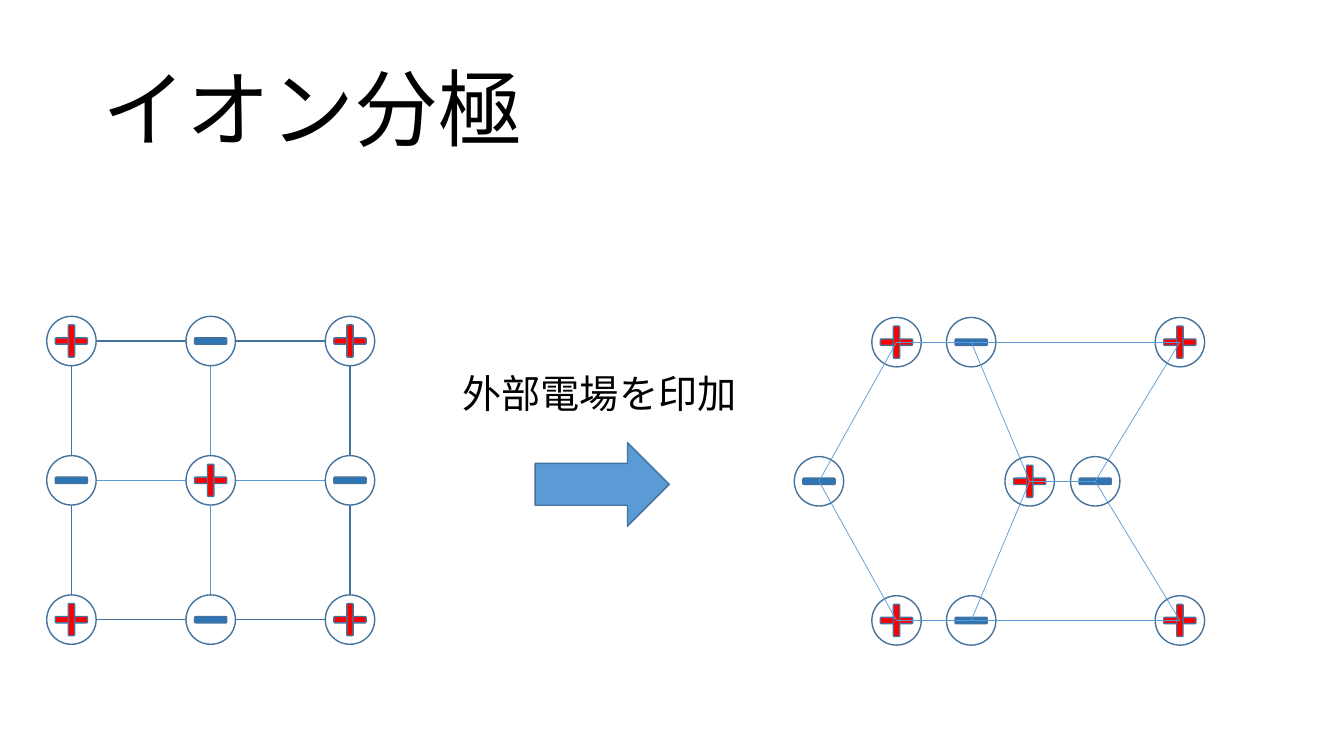
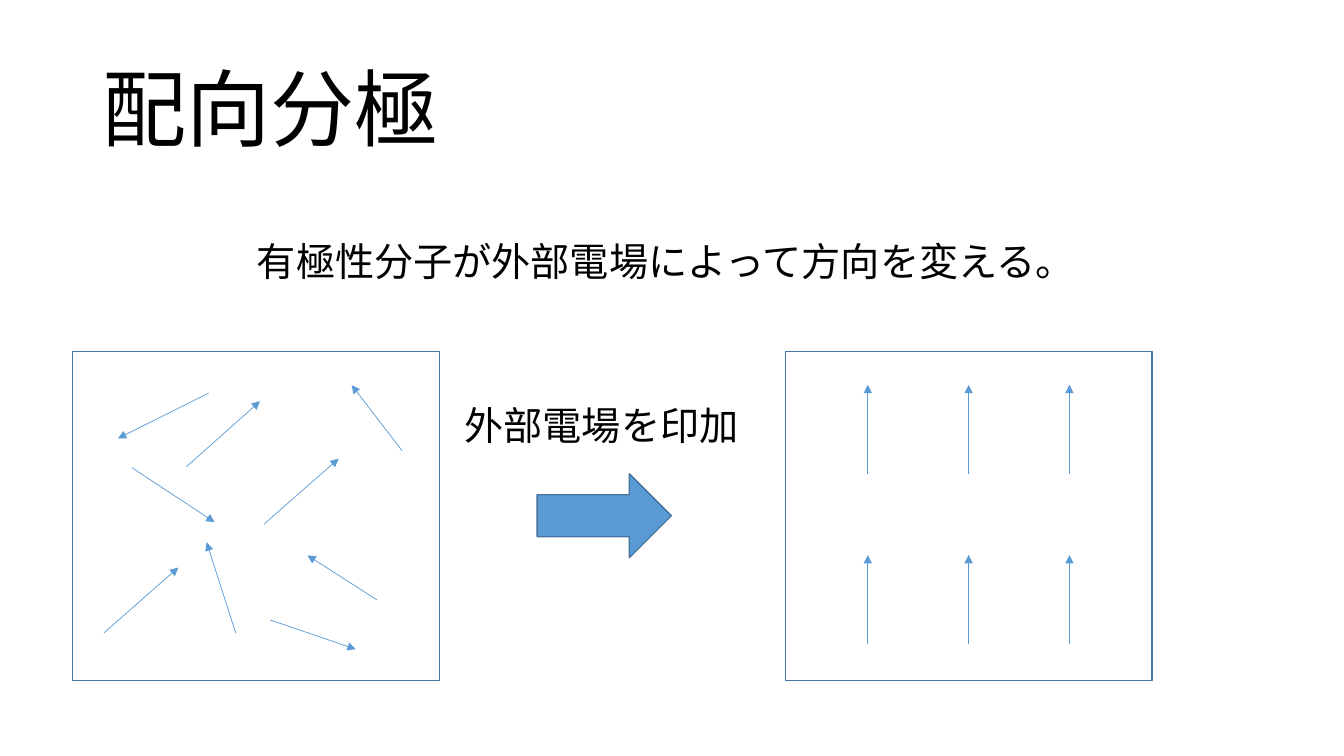
from collections import namedtuple
from dataclasses import dataclass
from itertools import product

from lxml import etree
from pptx import Presentation
from pptx.dml.color import RGBColor
from pptx.enum import shapes, text
from pptx.oxml import ns
from pptx.util import Pt

Box = namedtuple("Box", "left top width height")
KIND = shapes.MSO_SHAPE


@dataclass(frozen=True)
class Theme:
    """Colours, type sizes and line widths of the deck."""
    font: str = "Calibri"
    ink: str = "000000"
    paper: str = "FFFFFF"
    accent: str = "5B9BD5"
    outline: str = "43739E"
    positive: str = "FF0000"
    negative: str = "2E75B6"
    title_size: int = 60
    label_size: int = 28
    outline_width: float = 1
    line_width: float = 0.5


THEME = Theme()
ION_SIZE = 35.3
BAR_LENGTH, BAR_WIDTH = 23, 4.5
TITLE_BOX = Box(66.2, 28.8, 828, 104.4)


def apply(target, values):
    """Set each named attribute of the target."""
    for name, value in values.items():
        setattr(target, name, value)


def place(box):
    """Give a box as four lengths in points."""
    return [Pt(length) for length in box]


def write(frame, content, size, frame_format, para_format=None):
    """Write one line of text into a frame."""
    apply(frame, frame_format)
    para = frame.paragraphs[0]
    apply(para, para_format or {})
    span = para.add_run()
    span.text = content
    apply(span.font, {"name": THEME.font, "size": Pt(size)})
    span.font.color.rgb = RGBColor.from_string(THEME.ink)


def add_page(deck, title):
    """Add a slide with the shared title style."""
    page = deck.slides.add_slide(deck.slide_layouts.get_by_name("Title Only"))
    heading = page.shapes.title
    apply(heading, dict(zip(Box._fields, place(TITLE_BOX))))
    write(heading.text_frame, title, THEME.title_size,
          {"vertical_anchor": text.MSO_ANCHOR.MIDDLE, "auto_size": text.MSO_AUTO_SIZE.NONE},
          {"alignment": text.PP_ALIGN.LEFT, "line_spacing": 0.9})
    return page


def add_label(page, box, content):
    """Add an unwrapped label."""
    label = page.shapes.add_textbox(*place(box))
    write(label.text_frame, content, THEME.label_size,
          {"word_wrap": False, "auto_size": text.MSO_AUTO_SIZE.SHAPE_TO_FIT_TEXT})


def add_form(parent, kind, box, fill):
    """Add an outlined preset shape to a page or group."""
    form = parent.shapes.add_shape(kind, *place(box))
    form.shadow.inherit = False
    form.fill.solid()
    form.fill.fore_color.rgb = RGBColor.from_string(fill)
    form.line.color.rgb = RGBColor.from_string(THEME.outline)
    form.line.width = Pt(THEME.outline_width)
    return form


def add_line(page, start, end, arrow=False):
    """Add a thin line, with an arrowhead at its end if asked."""
    line = page.shapes.add_connector(shapes.MSO_CONNECTOR.STRAIGHT, *place((*start, *end)))
    line.line.color.rgb = RGBColor.from_string(THEME.accent)
    line.line.width = Pt(THEME.line_width)
    properties = line.element.spPr
    if arrow:
        stroke = properties.find(ns.qn("a:ln"))
        etree.SubElement(stroke, ns.qn("a:tailEnd"), type="triangle")
    etree.SubElement(properties, ns.qn("a:effectLst"))


def centred(centre, width, height):
    """Give the box of a size around a centre."""
    return Box(centre[0] - width / 2, centre[1] - height / 2, width, height)


def add_ion(page, centre, positive):
    """Add a circled plus or minus as one group."""
    ion = page.shapes.add_group_shape()
    add_form(ion, KIND.OVAL, centred(centre, ION_SIZE, ION_SIZE), THEME.paper)
    fill = THEME.positive if positive else THEME.negative
    for angle in (0, 90) if positive else (0,):
        bar = add_form(ion, KIND.ROUNDED_RECTANGLE, centred(centre, BAR_LENGTH, BAR_WIDTH), fill)
        bar.rotation = angle


def add_ions(page, rows):
    """Add rows of ions whose charges alternate."""
    for row, column in product(range(3), repeat=2):
        add_ion(page, rows[row][column], (row + column) % 2 == 0)


def lattice_rows(box, outer, middle):
    """Give ion centres in three rows from column offsets."""
    return [[(box.left + offset, box.top + row * box.height / 2) for offset in offsets]
            for row, offsets in enumerate((outer, middle, outer))]


def add_regular_lattice(page, box):
    """Draw the square lattice before the field acts."""
    columns = [box.width * column / 2 for column in range(3)]
    rows = lattice_rows(box, columns, columns)
    add_form(page, KIND.RECTANGLE, box, THEME.paper)
    add_line(page, rows[1][0], rows[1][2])
    add_line(page, rows[0][1], rows[2][1])
    add_ions(page, rows)


def add_shifted_lattice(page, box):
    """Draw the lattice with its charges pulled apart."""
    top, middle, bottom = rows = lattice_rows(box, (55.4, 108.7, box.width), (0, 150.5, 197.3))
    add_ions(page, rows)
    for outer in (top, bottom):
        add_line(page, outer[0], outer[2])
        for start, end in zip(middle, outer):
            add_line(page, start, end)
    add_line(page, middle[1], middle[2])


def add_field_step(page, box):
    """Draw the field label above its block arrow."""
    add_label(page, box._replace(height=41), "外部電場を印加")
    arrow_box = Box(box.left + 59, box.top + 55.5, 95.8, box.height - 55.5)
    add_form(page, KIND.RIGHT_ARROW, arrow_box, THEME.accent)


def add_dipoles(page, box, dipoles):
    """Draw a frame with dipole arrows placed inside it."""
    add_form(page, KIND.RECTANGLE, box, THEME.paper)
    for x1, y1, x2, y2 in dipoles:
        add_line(page, (box.left + x1, box.top + y1), (box.left + x2, box.top + y2), arrow=True)


def add_ionic_page(deck):
    """Build the ionic polarisation slide."""
    page = add_page(deck, "イオン分極")
    add_regular_lattice(page, Box(51, 243.6, 199, 199))
    add_field_step(page, Box(323.3, 260.6, 213.8, 115.3))
    add_shifted_lattice(page, Box(585, 244.4, 257.8, 198.8))


def add_orientation_page(deck):
    """Build the orientation polarisation slide."""
    scattered = [
        (42.5, 82.8, 101.5, 121.7), (81.4, 82.1, 133.9, 35.3), (116.6, 200.9, 95.8, 136.1),
        (141.1, 191.5, 202.3, 212.4), (136.8, 123.1, 190.1, 76.3), (217.4, 177.1, 167.8, 145.4),
        (22.3, 200.9, 75.6, 154.1), (235.4, 70.6, 199.4, 23.8), (97.2, 29.5, 32.4, 61.9),
    ]
    aligned = [(59 + 72 * column, 87 + 121.5 * row, 59 + 72 * column, 23.6 + 121.5 * row)
               for column, row in product(range(3), range(2))]
    page = add_page(deck, "配向分極")
    frame = Box(51.8, 251.3, 262, 234.7)
    add_dipoles(page, frame, scattered)
    add_field_step(page, Box(324.7, 283, 213.8, 115.3))
    add_dipoles(page, frame._replace(left=560.9), aligned)
    add_label(page, Box(176.4, 166.3, 574.6, 41), "有極性分子が外部電場によって方向を変える。")


def main():
    """Build and save the deck."""
    deck = Presentation()
    apply(deck, {"slide_width": Pt(960), "slide_height": Pt(540)})
    add_ionic_page(deck)
    add_orientation_page(deck)
    deck.save("out.pptx")


main()
